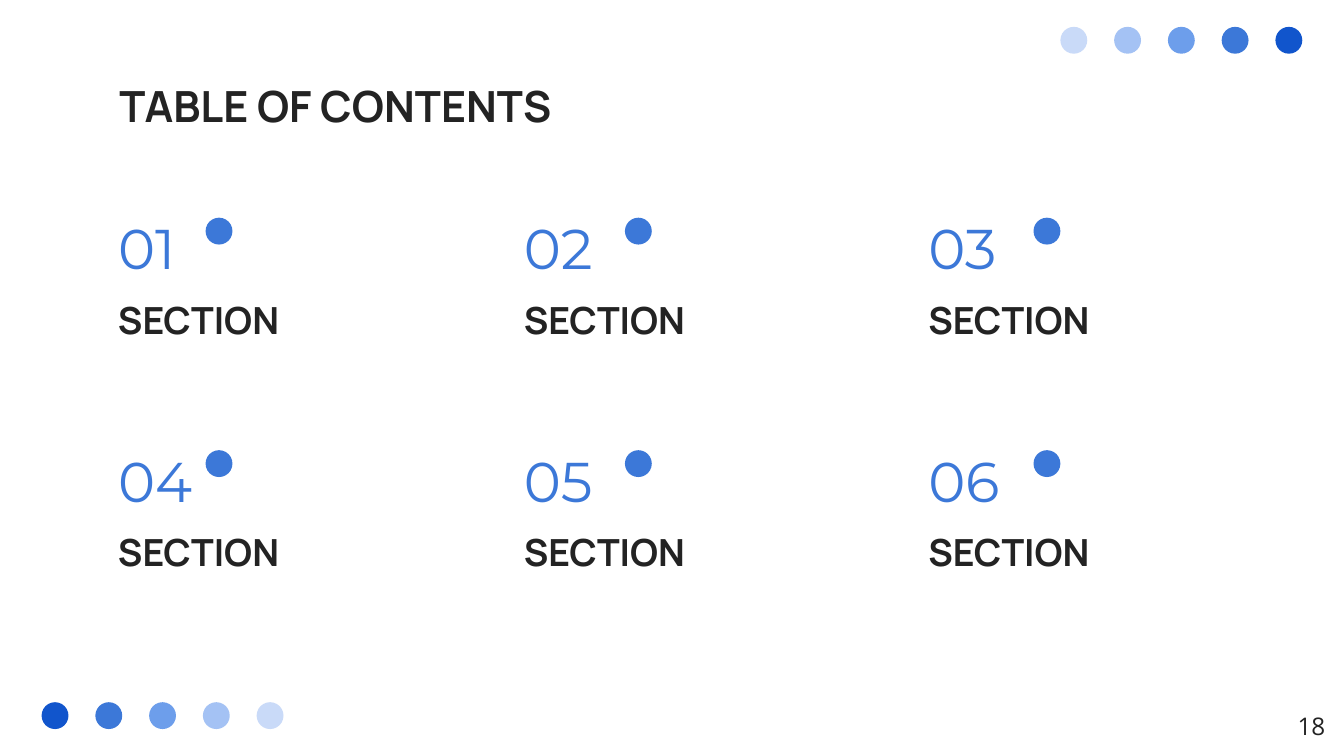
from pptx import Presentation
from pptx.dml.color import RGBColor
from pptx.enum.shapes import MSO_SHAPE
from pptx.enum.text import MSO_ANCHOR, MSO_AUTO_SIZE, PP_ALIGN
from pptx.util import Inches, Pt

WIDTH = 10
HEIGHT = WIDTH * 9 / 16
DOT_SIZE = 0.2
DOT_STEP = 0.4
BLUES = ["1155CC", "3C78D8", "6D9EEB", "A4C2F4", "C9DAF8"]
BLUE, INK = BLUES[1], "232323"

# Grid of sections: left edge and dot position of each column, top of each row
COLUMNS = [(0.78, 1.53), (3.8, 4.65), (6.81, 7.69)]
ROWS = [1.62, 3.35]

HEADING = {"name": "Manrope", "size": Pt(23), "bold": True}
SECTION = {"name": "Manrope", "size": Pt(20), "bold": True}
NUMBER = {"name": "Montserrat", "size": Pt(30), "bold": False}
PAGE_NUMBER = {"name": "Open Sans", "size": Pt(13), "bold": False}


def color(hex_value):
    return RGBColor.from_string(hex_value)


def add_dot(page, left, top, fill):
    dot = page.shapes.add_shape(
        MSO_SHAPE.OVAL, Inches(left), Inches(top), Inches(DOT_SIZE), Inches(DOT_SIZE))
    dot.shadow.inherit = False
    dot.fill.solid()
    dot.fill.fore_color.rgb = color(fill)
    dot.line.fill.background()


def add_dot_row(page, left, top, fills):
    for index, fill in enumerate(fills):
        add_dot(page, left + index * DOT_STEP, top, fill)


def add_text(page, text, area, font, ink=INK,
             anchor=MSO_ANCHOR.TOP, align=PP_ALIGN.LEFT):
    box = page.shapes.add_textbox(*[Inches(length) for length in area])
    frame_format = {"word_wrap": True, "auto_size": MSO_AUTO_SIZE.NONE,
                    "vertical_anchor": anchor}
    frame_format.update({f"margin_{side}": Inches(0.1)
                         for side in ("left", "top", "right", "bottom")})
    for name, value in frame_format.items():
        setattr(box.text_frame, name, value)
    para = box.text_frame.paragraphs[0]
    para.alignment = align
    span = para.add_run()
    span.text = text
    for name, value in font.items():
        setattr(span.font, name, value)
    span.font.color.rgb = color(ink)


def add_section(page, number, left, dot_left, top):
    add_text(page, f"{number:02d}", (left, top + 0.08, 1.18, 0.49), NUMBER,
             BLUE, MSO_ANCHOR.BOTTOM)
    add_text(page, "SECTION", (left, top + 0.49, 2.4, 0.43), SECTION)
    add_dot(page, dot_left, top, BLUE)


def main():
    deck = Presentation()
    deck.slide_width, deck.slide_height = Inches(WIDTH), Inches(HEIGHT)
    page = deck.slides.add_slide(deck.slide_layouts[6])

    # Corner decoration
    add_dot_row(page, 7.89, 0.2, reversed(BLUES))
    add_dot_row(page, 0.31, HEIGHT - 0.4, BLUES)

    # Heading
    add_text(page, "TABLE OF CONTENTS", (0.79, 0.49, 8.43, 0.63), HEADING)

    # Sections
    for row, top in enumerate(ROWS):
        for column, (left, dot_left) in enumerate(COLUMNS):
            number = row * len(COLUMNS) + column + 1
            add_section(page, number, left, dot_left, top)

    # Page number
    add_text(page, "18", (9.36, HEIGHT - 0.43, 0.6, 0.43), PAGE_NUMBER,
             align=PP_ALIGN.RIGHT)

    deck.save("out.pptx")


if __name__ == "__main__":
    main()
